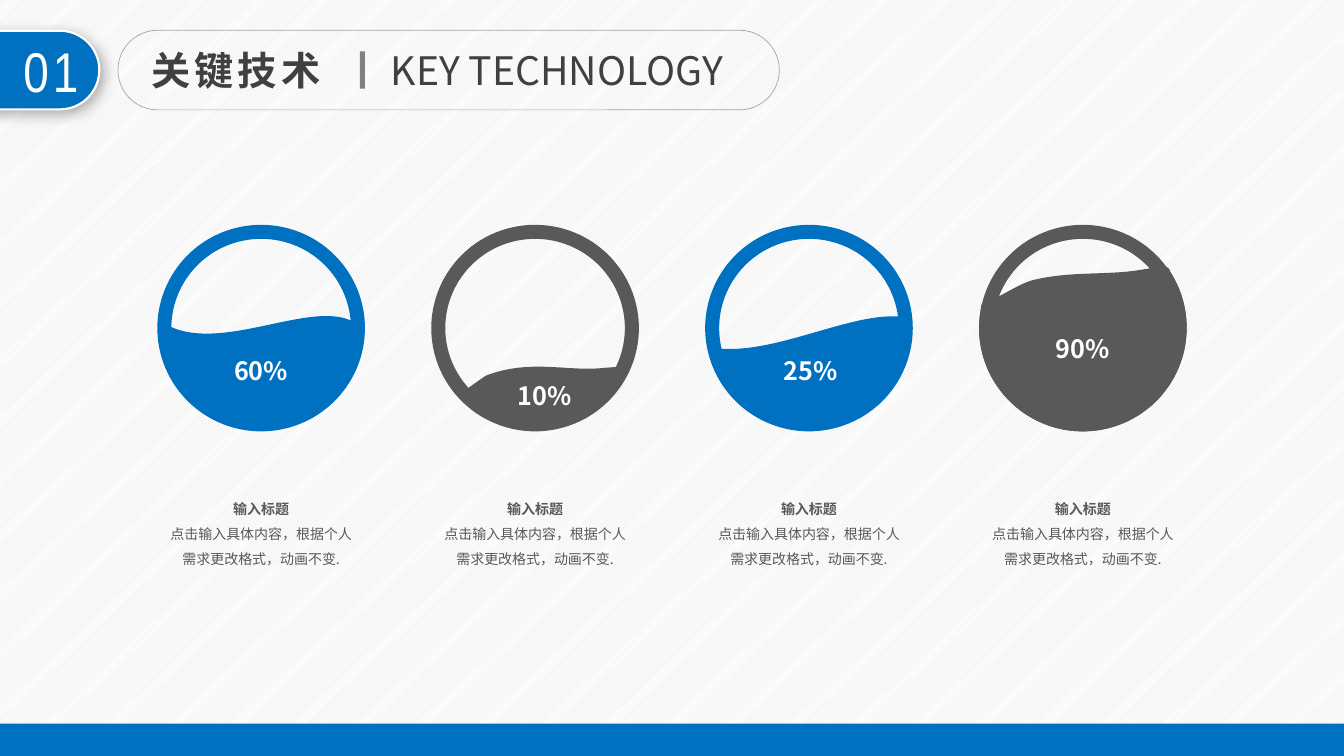
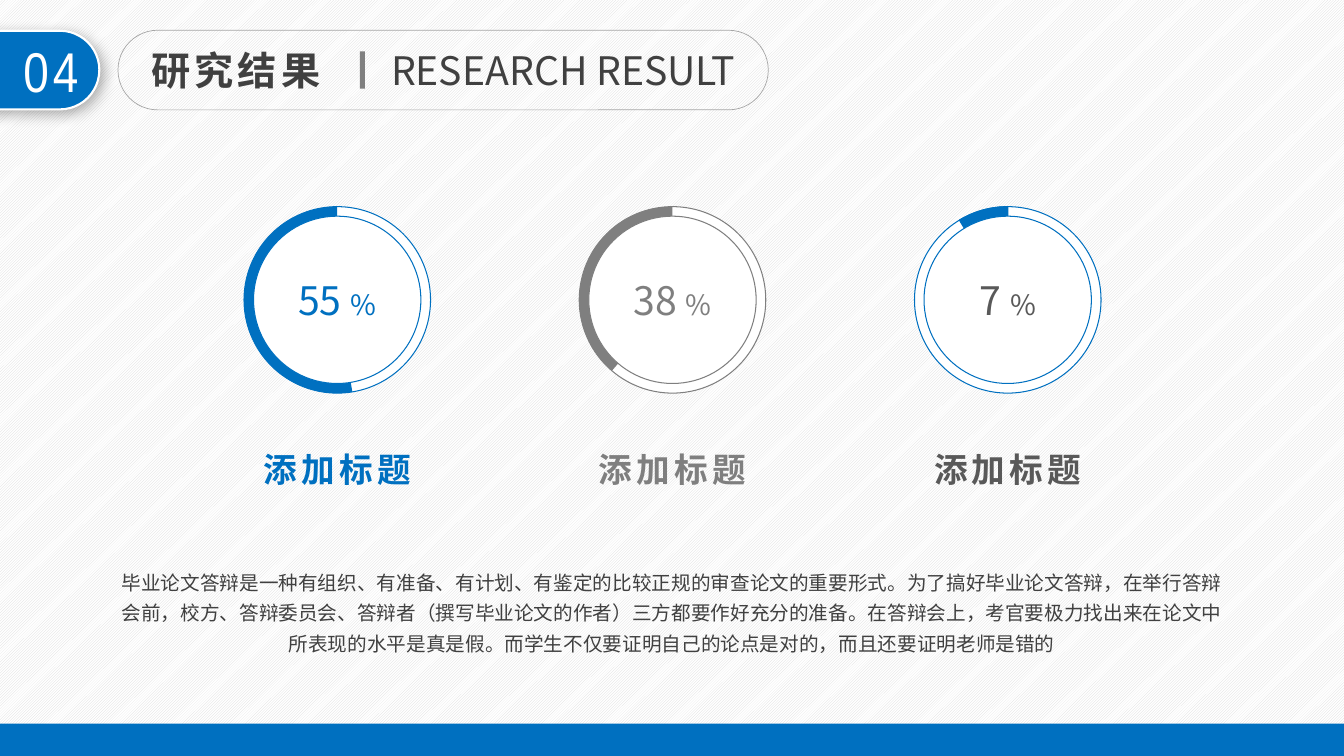
"""Build two thesis slides: liquid gauges for key technology and ring dials for research results."""
from dataclasses import dataclass
from typing import Any, Optional

from lxml.etree import SubElement
from pptx import Presentation
from pptx.dml.color import RGBColor
from pptx.enum.dml import MSO_PATTERN
from pptx.enum.shapes import MSO_SHAPE
from pptx.enum.text import MSO_ANCHOR, MSO_AUTO_SIZE, PP_ALIGN
from pptx.oxml.ns import qn
from pptx.util import Inches, Pt


@dataclass(frozen=True)
class Theme:
    blue: str = "0070C0"
    white: str = "FFFFFF"
    hatch: str = "D9D9D9"
    ink: str = "404040"
    slate: str = "595959"
    mid_gray: str = "7F7F7F"
    divider: str = "808080"
    outline: str = "A6A6A6"
    shadow: str = "000000"
    cjk: str = "Noto Sans CJK SC"
    narrow: str = "Arial Narrow"
    latin: str = "Arial"
    number_size: int = 40
    title_size: int = 28
    dial_label_size: int = 24
    percent_sign_size: int = 20
    gauge_size: int = 18
    body_size: int = 14
    caption_size: int = 10


THEME = Theme()
Box = tuple[float, float, float, float]
Point = tuple[float, float]


@dataclass(frozen=True)
class Span:
    text: str
    size: int
    color: str
    bold: bool = False
    font: str = THEME.cjk
    spacing: int = 0


@dataclass(frozen=True)
class Gauge:
    value: str
    color: str
    wave_box: Box
    start: Point
    segments: tuple[tuple[Point, ...], ...]
    wave_line: float = 0


@dataclass(frozen=True)
class Dial:
    value: str
    ring_color: str
    text_color: str
    start_angle: float
    pie_line: float = 0


GAUGES = (
    Gauge("60%", THEME.blue, (1.63, 3.13, 1.92, 1.08), (3.55, 3.22), (
        ((3.56, 3.57), (3.38, 3.9), (3.08, 4.08)),
        ((2.78, 4.26), (2.4, 4.26), (2.1, 4.08)),
        ((1.8, 3.89), (1.62, 3.56), (1.63, 3.21)),
        ((2.19, 3.54), (3.14, 2.92), (3.55, 3.22)),
    )),
    Gauge("10%", THEME.slate, (4.68, 3.71, 1.44, 0.43), (6.12, 3.71), (
        ((6.1, 3.77),),
        ((5.97, 3.99), (5.68, 4.14), (5.33, 4.14)),
        ((5.1, 4.14), (4.9, 4.07), (4.75, 3.97)),
        ((4.68, 3.91),),
        ((4.85, 3.79),),
        ((5.27, 3.63), (5.63, 3.76), (5.99, 3.72)),
        ((6.12, 3.71),),
    ), 10),
    Gauge("25%", THEME.blue, (7.07, 3.13, 1.94, 1.1), (8.91, 3.14), (
        ((8.99, 3.15),),
        ((9.01, 3.22),),
        ((8.99, 3.82), (8.33, 4.16), (8.02, 4.23)),
        ((7.7, 4.29), (7.31, 3.97), (7.12, 3.59)),
        ((7.07, 3.44),),
        ((7.15, 3.46),),
        ((7.72, 3.5), (8.42, 3.11), (8.91, 3.14)),
    )),
    Gauge("90%", THEME.slate, (9.78, 2.71, 1.92, 1.49), (11.54, 2.71), (
        ((11.54, 2.72),),
        ((11.64, 2.87), (11.7, 3.05), (11.7, 3.25)),
        ((11.7, 3.78), (11.27, 4.21), (10.74, 4.21)),
        ((10.21, 4.21), (9.78, 3.78), (9.78, 3.25)),
        ((9.78, 3.18), (9.79, 3.12), (9.8, 3.06)),
        ((9.8, 3.05),),
        ((9.96, 3.02), (10.13, 2.87), (10.29, 2.84)),
        ((10.64, 2.76), (10.97, 2.8), (11.3, 2.75)),
        ((11.54, 2.71),),
    ), 10),
)
DIALS = (
    Dial("55", THEME.blue, THEME.blue, 80.69),
    Dial("38", THEME.mid_gray, THEME.mid_gray, 130.5),
    Dial("7", THEME.blue, THEME.slate, 238.77, 0.75),
)
GAUGE_LEFT, GAUGE_TOP, GAUGE_WIDTH, GAUGE_HEIGHT = 1.63, 2.3, 1.92, 1.91
GAUGE_STEP = 8.15 / 3
CAPTION_WIDTH = 2.1
DIAL_LEFT, DIAL_TOP, DIAL_SIZE, DIAL_STEP = 2.42, 2.05, 1.85, 6.65 / 2
DIAL_CORE = 1.66
CAPTION_TITLE = "输入标题"
CAPTION_BODY = "点击输入具体内容，根据个人需求更改格式，动画不变."
DIAL_LABEL = "添加标题"
SUMMARY = (
    "毕业论文答辩是一种有组织、有准备、有计划、有鉴定的比较正规的审查论文的重要形式。"
    "为了搞好毕业论文答辩，在举行答辩会前，校方、答辩委员会、答辩者（撰写毕业论文的作者）"
    "三方都要作好充分的准备。在答辩会上，考官要极力找出来在论文中所表现的水平是真是假。"
    "而学生不仅要证明自己的论点是对的，而且还要证明老师是错的"
)


def rgb(color: str) -> RGBColor:
    """Turn a hex string into a colour."""
    return RGBColor.from_string(color)


def apply(target: Any, formats: dict[str, Any]) -> None:
    """Set every format value on the target."""
    for attribute, value in formats.items():
        setattr(target, attribute, value)


def paint(shape: Any, fill: Optional[str], line: Optional[str], width: float) -> None:
    """Give a shape its fill and outline, without a shadow."""
    shape.shadow.inherit = False
    if fill:
        shape.fill.solid()
        shape.fill.fore_color.rgb = rgb(fill)
    else:
        shape.fill.background()
    if line and width:
        shape.line.color.rgb = rgb(line)
        shape.line.width = Pt(width)
    else:
        shape.line.fill.background()


def add_figure(shapes: Any, kind: MSO_SHAPE, box: Box, fill: Optional[str] = None,
               line: Optional[str] = None, width: float = 0.75) -> Any:
    """Draw a preset shape."""
    figure = shapes.add_shape(kind, *map(Inches, box))
    paint(figure, fill, line, width)
    return figure


def write(shape: Any, paragraphs: list[list[Span]], align: PP_ALIGN = PP_ALIGN.CENTER,
          leading: float = 1.0, **frame_formats: Any) -> None:
    """Fill a shape with formatted paragraphs."""
    frame = shape.text_frame
    apply(frame, {"word_wrap": True, **frame_formats})
    for index, spans in enumerate(paragraphs):
        paragraph = frame.add_paragraph() if index else frame.paragraphs[0]
        apply(paragraph, {"alignment": align, "line_spacing": leading})
        for span in spans:
            run = paragraph.add_run()
            run.text = span.text
            apply(run.font, {"size": Pt(span.size), "bold": span.bold, "name": span.font})
            run.font.color.rgb = rgb(span.color)
            properties = run._r.get_or_add_rPr()
            SubElement(properties, qn("a:ea"), typeface=THEME.cjk)
            if span.spacing:
                properties.set("spc", str(span.spacing * 100))


def add_text(shapes: Any, box: Box, paragraphs: list[list[Span]], **formats: Any) -> None:
    """Place a text box."""
    formats = {"auto_size": MSO_AUTO_SIZE.SHAPE_TO_FIT_TEXT, **formats}
    write(shapes.add_textbox(*map(Inches, box)), paragraphs, **formats)


def cast_shadow(shape: Any) -> None:
    """Add a soft diagonal shadow."""
    effects = shape._element.spPr.find(qn("a:effectLst"))
    shadow = SubElement(effects, qn("a:outerShdw"), blurRad=str(Pt(10)), dist=str(Pt(4)),
                        dir="2700000", algn="tl", rotWithShape="0")
    color = SubElement(shadow, qn("a:srgbClr"), val=THEME.shadow)
    SubElement(color, qn("a:alpha"), val="30000")


def add_header(shapes: Any, number: str, title: str, subtitle: str, pill_width: float,
               subtitle_width: float) -> None:
    """Draw the section tab and the title pill."""
    badge = shapes.add_group_shape().shapes
    tab = add_figure(badge, MSO_SHAPE.ROUNDED_RECTANGLE, (-0.46, -0.36, 0.78, 2.11),
                     THEME.blue, THEME.white, 1.5)
    tab.rotation = 90
    cast_shadow(tab)
    add_text(badge, (0.02, 0.31, 0.97, 0.77),
             [[Span(number, THEME.number_size, THEME.white, font=THEME.narrow, spacing=3)]])
    pill = add_figure(shapes, MSO_SHAPE.ROUNDED_RECTANGLE, (1.17, 0.3, pill_width, 0.79),
                      None, THEME.outline, 0.5)
    for rounded in (tab, pill):
        rounded.adjustments[0] = 0.5
    add_text(shapes, (1.4, 0.41, 1.96, 0.57),
             [[Span(title, THEME.title_size, THEME.ink, True, spacing=3)]], align=PP_ALIGN.LEFT)
    add_figure(shapes, MSO_SHAPE.RECTANGLE, (3.57, 0.51, 0.05, 0.37), THEME.divider)
    add_text(shapes, (3.78, 0.41, subtitle_width, 0.57),
             [[Span(subtitle, THEME.title_size, THEME.ink)]],
             align=PP_ALIGN.LEFT, word_wrap=False)


def add_band(shapes: Any) -> None:
    """Draw the bottom band."""
    add_figure(shapes, MSO_SHAPE.RECTANGLE, (0, 7.18, 13.33, 0.32), THEME.blue)


def add_wave(shapes: Any, gauge: Gauge) -> Any:
    """Draw the liquid as a freeform with true curves."""
    left, top, width, height = map(Inches, gauge.wave_box)
    builder = shapes.build_freeform(left, top)
    builder.add_line_segments([(left + width, top), (left + width, top + height)])
    wave = builder.convert_to_shape()
    outline = next(wave._element.iter(qn("a:path")))
    for corner in list(outline):
        outline.remove(corner)
    for points in ((gauge.start,), *gauge.segments):
        tag = "a:cubicBezTo" if len(points) == 3 else "a:lnTo" if len(outline) else "a:moveTo"
        step = SubElement(outline, qn(tag))
        for x, y in points:
            SubElement(step, qn("a:pt"), x=str(Inches(x) - left), y=str(Inches(y) - top))
    SubElement(outline, qn("a:close"))
    return wave


def add_gauge(shapes: Any, gauge: Gauge, left: float) -> None:
    """Draw a liquid gauge and its caption."""
    vessel = shapes.add_group_shape().shapes
    wave = add_wave(vessel, gauge)
    paint(wave, gauge.color, gauge.color, gauge.wave_line)
    write(wave, [[Span(gauge.value, THEME.gauge_size, THEME.white, True)]],
          vertical_anchor=MSO_ANCHOR.MIDDLE)
    add_figure(vessel, MSO_SHAPE.OVAL, (left, GAUGE_TOP, GAUGE_WIDTH, GAUGE_HEIGHT),
               None, gauge.color, 10)
    caption_left = left - (CAPTION_WIDTH - GAUGE_WIDTH) / 2
    add_text(shapes, (caption_left, 4.83, CAPTION_WIDTH, 0.86),
             [[Span(CAPTION_TITLE, THEME.caption_size, THEME.slate, True)],
              [Span(CAPTION_BODY, THEME.caption_size, THEME.slate)]], leading=1.5)


def add_dial(shapes: Any, dial: Dial, left: float) -> None:
    """Draw a ring dial and its label."""
    bare = {"vertical_anchor": MSO_ANCHOR.MIDDLE, "margin_left": 0, "margin_right": 0,
            "margin_top": 0, "margin_bottom": 0, "auto_size": MSO_AUTO_SIZE.NONE}
    ring_box = (left, DIAL_TOP, DIAL_SIZE, DIAL_SIZE)
    inset = (DIAL_SIZE - DIAL_CORE) / 2
    ring = shapes.add_group_shape().shapes
    add_figure(ring, MSO_SHAPE.OVAL, ring_box, THEME.white, dial.ring_color)
    arc = add_figure(ring, MSO_SHAPE.PIE, ring_box, dial.ring_color, dial.ring_color,
                     dial.pie_line)
    for index, angle in enumerate((dial.start_angle, 270)):
        arc.adjustments[index] = angle * 0.6
    core_box = (left + inset, DIAL_TOP + inset, DIAL_CORE, DIAL_CORE)
    core = add_figure(shapes, MSO_SHAPE.OVAL, core_box, THEME.white, dial.ring_color)
    write(core, [[Span(f"{dial.value} ", THEME.title_size, dial.text_color),
                  Span("%", THEME.percent_sign_size, dial.text_color)]], **bare)
    label = Span(DIAL_LABEL, THEME.dial_label_size, dial.text_color, True, spacing=3)
    add_text(shapes, (left, 4.15, DIAL_SIZE, 1), [[label]], **bare)


def main() -> None:
    """Build and save the presentation."""
    prs = Presentation()
    apply(prs, {"slide_width": Inches(13.33), "slide_height": Inches(7.5)})
    backdrop = prs.slide_master.background.fill
    backdrop.patterned()
    backdrop.pattern = MSO_PATTERN.LIGHT_UPWARD_DIAGONAL
    backdrop.fore_color.rgb = rgb(THEME.hatch)
    backdrop.back_color.rgb = rgb(THEME.white)
    technology, results = (prs.slides.add_slide(prs.slide_layouts[6]).shapes for _ in range(2))

    for index, gauge in enumerate(GAUGES):
        add_gauge(technology, gauge, GAUGE_LEFT + index * GAUGE_STEP)
    add_band(technology)
    add_header(technology, "01", "关键技术", "KEY TECHNOLOGY", 6.56, 3.7)

    add_header(results, "04", "研究结果", "RESEARCH RESULT", 6.45, 3.85)
    add_band(results)
    for index, dial in enumerate(DIALS):
        add_dial(results, dial, DIAL_LEFT + index * DIAL_STEP)
    summary = Span(SUMMARY, THEME.body_size, THEME.ink, font=THEME.latin)
    add_text(results, (1.09, 5.54, 11.15, 1.02), [[summary]], leading=1.3)
    prs.save("out.pptx")


if __name__ == "__main__":
    main()
